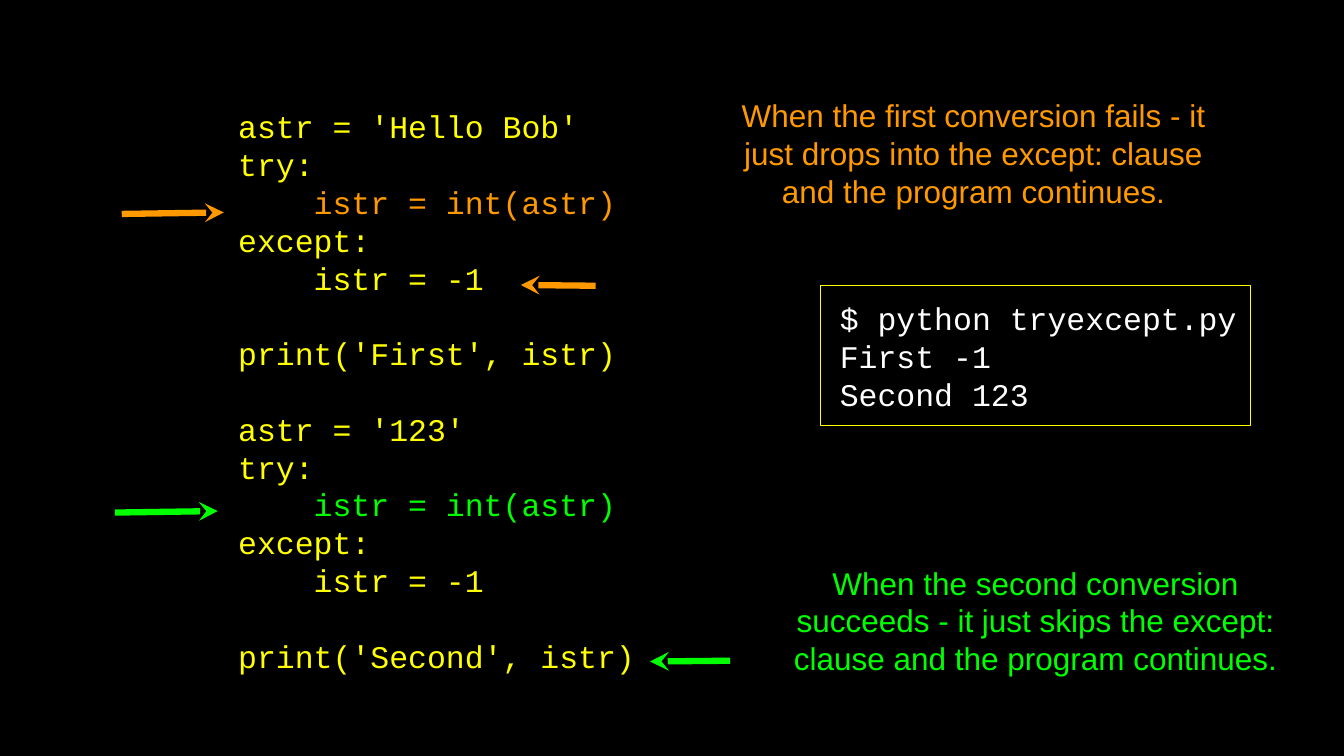
from dataclasses import dataclass

from lxml import etree
from pptx import Presentation, util as u
from pptx.dml.color import RGBColor
from pptx.enum import shapes, text
from pptx.oxml.ns import qn


@dataclass(frozen=True)
class Theme:
    background: str = "000000"
    code: str = "FFFF00"
    failure: str = "FF9900"
    success: str = "00FF00"
    console: str = "FFFFFF"
    mono: str = "Courier New"
    sans: str = "Arial"
    size: float = 30
    leading: float = 36
    arrow_width: float = 6
    frame_width: float = 1


@dataclass(frozen=True)
class Area:
    """A rectangle in hundredths of the slide's width and height."""
    col: float
    row: float
    cols: float
    rows: float


@dataclass(frozen=True)
class Line:
    text: str
    color: str
    after_gap: bool = False


@dataclass(frozen=True)
class Note:
    area: Area
    text: str
    color: str


@dataclass(frozen=True)
class Arrow:
    tip: tuple[float, float]
    tail: tuple[float, float]
    color: str


T = Theme()
WIDTH, HEIGHT = u.Inches(17.78), u.Inches(10)


def conversion(result: str, label: str, first: str, color: str, gap: bool) -> list[Line]:
    """Code lines of one try/except example."""
    return [
        Line(f"astr = {first}", T.code, gap),
        Line("try:", T.code),
        Line("    istr = int(astr)", color),
        Line("except:", T.code),
        Line(f"    istr = {result}", T.code),
        Line(f"print('{label}', istr)", T.code, True),
    ]


CODE_AREA = Area(17.72, 12.4, 32, 78.6)
CODE = (conversion("-1", "First", "'Hello Bob'", T.failure, False)
        + conversion("-1", "Second", "'123'", T.success, True))

CONSOLE_AREA = Area(61.08, 37.8, 32, 18.5)
CONSOLE = [Line(t, T.console)
           for t in ("$ python tryexcept.py", "First -1", "Second 123")]

NOTES = [
    Note(Area(54.33, 12.4, 36.22, 15.7),
         "When the first conversion fails - it just drops into the except: "
         "clause and the program continues.", T.failure),
    Note(Area(58.94, 74.2, 36.22, 15.7),
         "When the second conversion succeeds - it just skips the except: "
         "clause and the program continues.", T.success),
]

ARROWS = [
    Arrow((16.65, 28.1), (9.06, 28.3), T.failure),
    Arrow((38.75, 37.7), (44.32, 37.8), T.failure),
    Arrow((16.2, 67.6), (8.55, 67.8), T.success),
    Arrow((48.37, 87.5), (54.33, 87.4), T.success),
]


def x(col: float) -> int:
    return round(WIDTH * col / 100)


def y(row: float) -> int:
    return round(HEIGHT * row / 100)


def box(a: Area) -> tuple[int, int, int, int]:
    return x(a.col), y(a.row), x(a.cols), y(a.rows)


def rgb(color: str) -> RGBColor:
    return RGBColor.from_string(color)


def write(sp, lines: list[Line], font: str, align, indent: float = 0) -> None:
    tf = sp.text_frame
    tf.word_wrap = True
    tf.vertical_anchor = text.MSO_ANCHOR.MIDDLE
    tf.margin_left = u.Inches(indent)
    tf.margin_top = tf.margin_right = tf.margin_bottom = 0
    for i, line in enumerate(lines):
        p = tf.add_paragraph() if i else tf.paragraphs[0]
        p.alignment = align
        p.line_spacing = u.Pt(T.leading)
        if line.after_gap:
            p.space_before = u.Pt(T.leading)
        r = p.add_run()
        r.text = line.text
        r.font.name = font
        r.font.size = u.Pt(T.size)
        r.font.color.rgb = rgb(line.color)


def draw_console(s) -> None:
    sp = s.shapes.add_shape(shapes.MSO_SHAPE.RECTANGLE, *box(CONSOLE_AREA))
    sp.shadow.inherit = False
    sp.fill.background()
    sp.line.color.rgb = rgb(T.code)
    sp.line.width = u.Pt(T.frame_width)
    write(sp, CONSOLE, T.mono, text.PP_ALIGN.LEFT, indent=0.25)


def draw_arrow(s, a: Arrow) -> None:
    c = s.shapes.add_connector(shapes.MSO_CONNECTOR.STRAIGHT,
                               x(a.tip[0]), y(a.tip[1]), x(a.tail[0]), y(a.tail[1]))
    c.line.color.rgb = rgb(a.color)
    c.line.width = u.Pt(T.arrow_width)
    etree.SubElement(c.line._get_or_add_ln(), qn("a:headEnd"), type="stealth")
    etree.SubElement(c._element.spPr, qn("a:effectLst"))


def main() -> None:
    prs = Presentation()
    prs.slide_width, prs.slide_height = WIDTH, HEIGHT
    s = prs.slides.add_slide(prs.slide_layouts[6])
    s.background.fill.solid()
    s.background.fill.fore_color.rgb = rgb(T.background)

    write(s.shapes.add_textbox(*box(CODE_AREA)), CODE, T.mono, text.PP_ALIGN.LEFT)
    draw_console(s)
    for note in NOTES:
        write(s.shapes.add_textbox(*box(note.area)), [Line(note.text, note.color)],
              T.sans, text.PP_ALIGN.CENTER)
    for arrow in ARROWS:
        draw_arrow(s, arrow)
    prs.save("out.pptx")


if __name__ == "__main__":
    main()
